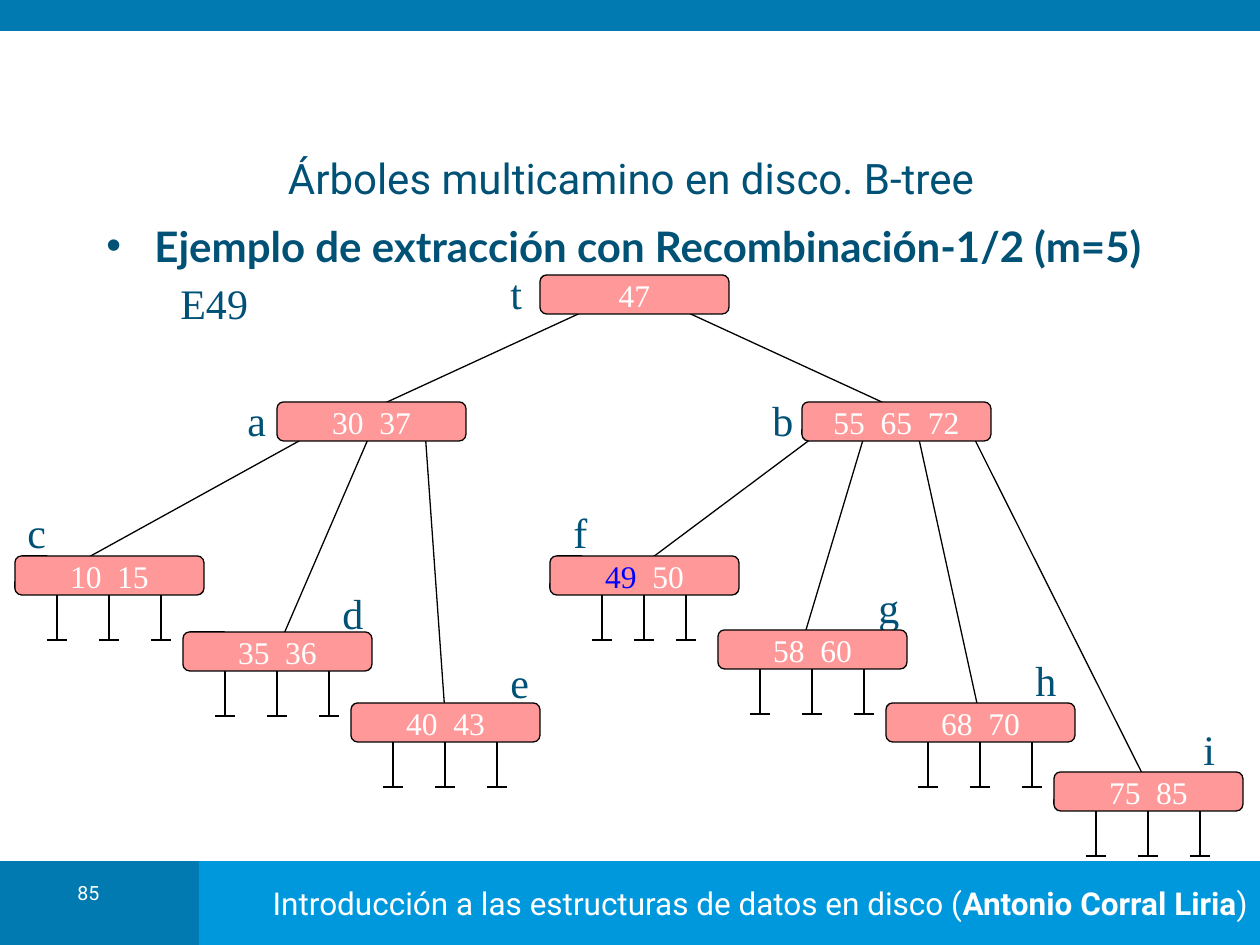
from lxml import etree
from pptx import Presentation, util as u
from pptx.dml.color import RGBColor
from pptx.enum import shapes, text
from pptx.oxml.ns import qn

NAVY = RGBColor(0x00, 0x51, 0x76)
DARK_BLUE = RGBColor(0x00, 0x7A, 0xB1)
LIGHT_BLUE = RGBColor(0x00, 0x98, 0xDC)
PINK = RGBColor(0xFF, 0x99, 0x99)
KEY_BLUE = RGBColor(0x00, 0x00, 0xFF)
WHITE = RGBColor(0xFF, 0xFF, 0xFF)
BLACK = RGBColor(0x00, 0x00, 0x00)
SERIF = "Times New Roman"
PX = 914400 / 126

NODE_W, NODE_H = 189, 39
LABEL_W, LABEL_H = 42, 63
STUB_TOP, STUB_BOTTOM, TICK = 31, 84, 10

# name: (left, top, keys, label left, label top)
NODES = {
    "f": (550, 556, ["49", "  50"], 561, 500),
    "c": (15, 556, ["10  15"], 15, 500),
    "g": (718, 630, ["58  60"], 866, 575),
    "h": (886, 703, ["68  70"], 1023, 648),
    "d": (183, 632, ["35  36"], 330, 581),
    "e": (351, 703, ["40  43"], 498, 650),
    "a": (277, 402, ["30  37"], 235, 388),
    "b": (802, 402, ["55  65  72"], 760, 388),
    "t": (540, 275, ["47"], 498, 261),
    "i": (1054, 772, ["75  85"], 1191, 717),
}
EDGES = [
    (600, 304, 372, 409), (669, 304, 897, 409),  # t to a, b
    (319, 430, 78, 563), (372, 430, 277, 650), (425, 430, 445, 713),  # a to c, d, e
    (823, 430, 645, 563), (866, 430, 803, 640),  # b to f, g
    (917, 430, 980, 717), (970, 430, 1149, 787),  # b to h, i
]

prs = Presentation()
prs.slide_width, prs.slide_height = u.Inches(10), u.Inches(7.5)
slide = prs.slides.add_slide(prs.slide_layouts[5])


def px(*lengths):
    return [u.Emu(round(length * PX)) for length in lengths]


def write(shape, parts, size, font, color, align=text.PP_ALIGN.LEFT):
    """Fill the shape's only paragraph with equally formatted runs and return it."""
    shape.text_frame.word_wrap = True
    paragraph = shape.text_frame.paragraphs[0]
    paragraph.alignment = align
    for part in parts:
        run = paragraph.add_run()
        run.text = part
        run.font.size, run.font.name = u.Pt(size), font
        run.font.color.rgb = color
    return paragraph


# Header and footer bands
for box, color in [((0, 861, 230, 84), DARK_BLUE),
                   ((199, 861, 1061, 84), LIGHT_BLUE),
                   ((0, 0, 1260, 31), DARK_BLUE)]:
    band = slide.shapes.add_shape(shapes.MSO_SHAPE.RECTANGLE, *px(*box))
    band.shadow.inherit = False
    band.fill.solid()
    band.fill.fore_color.rgb = color
    band.line.fill.background()
    if color == LIGHT_BLUE:
        course = write(band, ["Introducción a las estructuras de datos en disco (",
                              "Antonio Corral Liria", ")"],
                       18, "Roboto", WHITE, text.PP_ALIGN.RIGHT)
        course.runs[1].font.bold = True

page_number = slide.shapes.add_textbox(*px(44, 879, 89, 40))
write(page_number, ["85"], 11.2, "Roboto", WHITE, text.PP_ALIGN.CENTER).line_spacing = 0.8

# Title and heading
title = slide.shapes.title
title.left, title.top, title.width, title.height = px(105, 151, 1052, 53)
title.text_frame.auto_size = text.MSO_AUTO_SIZE.NONE
title.text_frame.vertical_anchor = text.MSO_ANCHOR.MIDDLE
write(title, ["Árboles multicamino en disco. B-tree"], 24, "Roboto", NAVY, text.PP_ALIGN.CENTER)

heading = slide.shapes.add_textbox(*px(94, 214, 1141, 60))
example = write(heading, ["Ejemplo de extracción con Recombinación-1/2 (m=5)"], 24, "Lato", NAVY)
example.runs[0].font.bold = True
bullet_format = example._p.get_or_add_pPr()
indent = px(48)[0]
bullet_format.set("marL", str(indent))
bullet_format.set("indent", str(-indent))
bullet_color = etree.SubElement(bullet_format, qn("a:buClr"))
etree.SubElement(bullet_color, qn("a:srgbClr"), val=str(NAVY))
etree.SubElement(bullet_format, qn("a:buFont"), typeface="Arial")
etree.SubElement(bullet_format, qn("a:buChar"), char="•")

operation = slide.shapes.add_textbox(*px(168, 271, 116, 63))
write(operation, ["E49"], 24, SERIF, NAVY)

# Edges, and the empty pointers below each leaf
lines = list(EDGES)
for name, (left, top, *_) in NODES.items():
    if name in "tab":
        continue
    gap = 42 if name == "f" else 52
    for step in (-1, 0, 1):
        x = left + NODE_W // 2 + step * gap
        lines.append((x, top + STUB_TOP, x, top + STUB_BOTTOM))
        lines.append((x - TICK, top + STUB_BOTTOM, x + TICK, top + STUB_BOTTOM))

for ends in lines:
    link = slide.shapes.add_connector(shapes.MSO_CONNECTOR.STRAIGHT, *px(*ends))
    link.line.color.rgb = BLACK
    link.line.width = u.Pt(0.75)
    etree.SubElement(link._element.spPr, qn("a:effectLst"))

# Nodes with their labels
for name, (left, top, keys, label_left, label_top) in NODES.items():
    label = slide.shapes.add_textbox(*px(label_left, label_top, LABEL_W, LABEL_H))
    write(label, [name], 24, SERIF, NAVY)

    node = slide.shapes.add_shape(shapes.MSO_SHAPE.ROUNDED_RECTANGLE,
                                  *px(left, top, NODE_W, NODE_H))
    node.adjustments[0] = 0.17
    node.shadow.inherit = False
    node.fill.solid()
    node.fill.fore_color.rgb = PINK
    node.line.color.rgb = BLACK
    node.line.width = u.Pt(0.75)
    node.text_frame.vertical_anchor = text.MSO_ANCHOR.MIDDLE
    row = write(node, keys, 18, SERIF, WHITE, text.PP_ALIGN.CENTER)
    if name == "f":
        row.runs[0].font.color.rgb = KEY_BLUE

prs.save("out.pptx")
